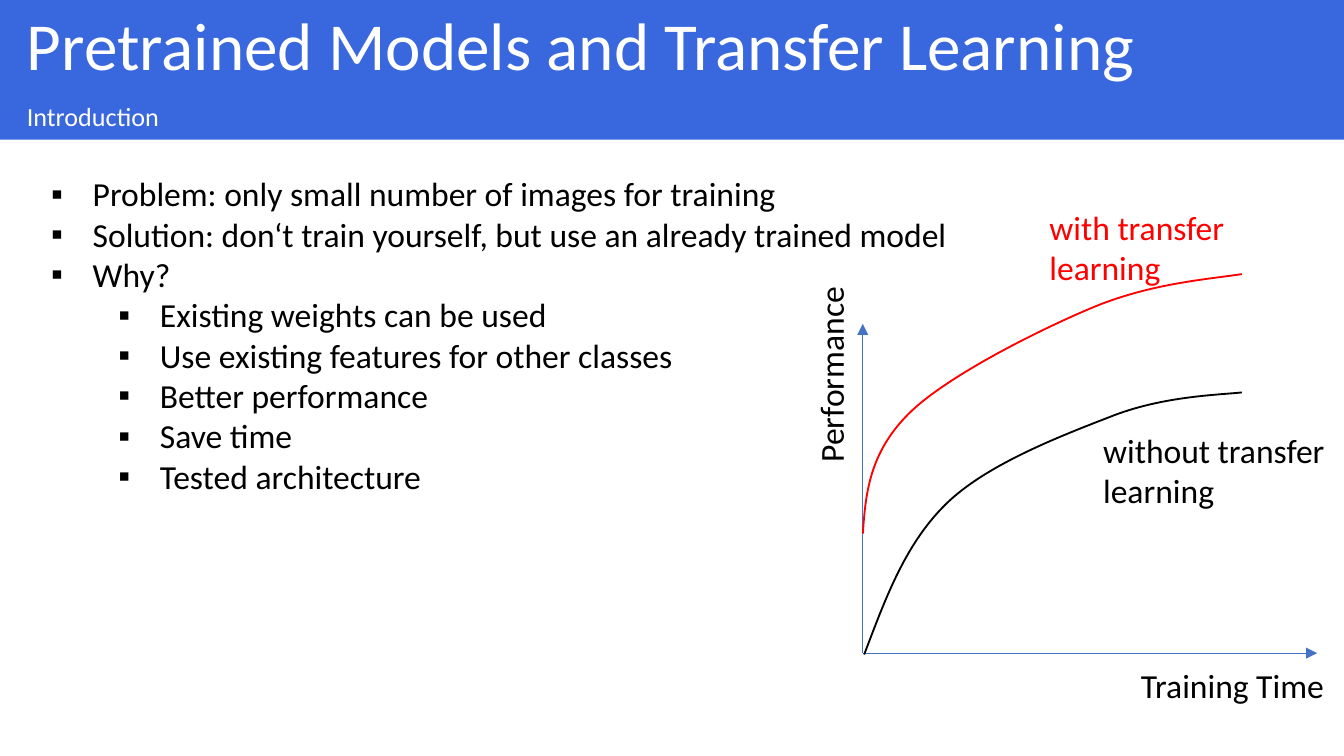
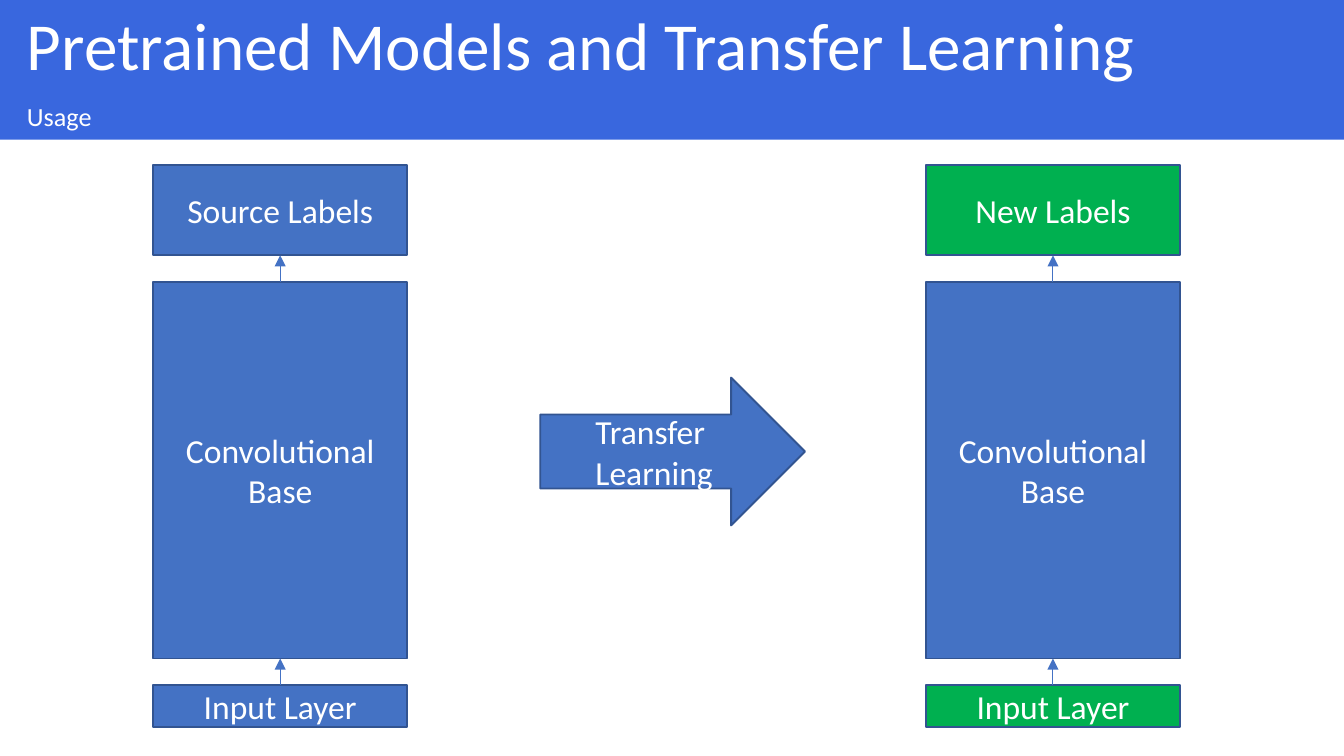
"""Builds two slides on pretrained models and transfer learning."""
from dataclasses import dataclass

from lxml import etree
from pptx import Presentation
from pptx.dml.color import RGBColor
from pptx.enum import shapes, text
from pptx.oxml import ns
from pptx.util import Inches, Pt

FONT = "Calibri"
COLORS = {
    "band": "3967DE",
    "blue": "4472C4",
    "outline": "325491",
    "green": "00B050",
    "red": "FF0000",
    "black": "000000",
    "white": "FFFFFF",
}
TITLE = "Pretrained Models and Transfer Learning"
BULLETS = [
    (0, "Problem: only small number of images for training"),
    (0, "Solution: don‘t train yourself, but use an already trained model"),
    (0, "Why?"),
    (1, "Existing weights can be used"),
    (1, "Use existing features for other classes"),
    (1, "Better performance"),
    (1, "Save time"),
    (1, "Tested architecture"),
]


@dataclass
class Band:
    top: float
    height: float
    size: float


@dataclass
class Label:
    caption: str
    left: float
    top: float
    width: float
    height: float
    color: str = "black"
    rotation: int = 0


@dataclass
class Curve:
    color: str
    points: list[tuple[float, float]]


@dataclass
class Layer:
    top: float
    height: float
    caption: str
    fill: str = "blue"


@dataclass
class Network:
    left: float
    layers: list[Layer]


TITLE_BAND = Band(0, 0.73, 36)
SUBTITLE_BAND = Band(0.72, 0.32, 14)
LABELS = [
    Label("Training Time", 8.39, 4.9, 1.58, 0.4),
    Label("Performance", 5.42, 2.58, 1.52, 0.4, rotation=270),
    Label("without transfer\nlearning", 8.11, 3.15, 1.87, 0.71),
    Label("with transfer\nlearning", 7.71, 1.49, 1.52, 0.71, "red"),
]
CURVES = [
    Curve("black", [(6.43, 4.87), (6.59, 4.45), (6.74, 4.03), (7.06, 3.73),
                    (7.37, 3.44), (7.93, 3.23), (8.29, 3.09),
                    (8.66, 2.95), (9.04, 2.94), (9.24, 2.92)]),
    Curve("red", [(6.42, 3.97), (6.44, 3.67), (6.47, 3.37), (6.76, 3.08),
                  (7.04, 2.8), (7.74, 2.45), (8.15, 2.28),
                  (8.57, 2.11), (8.97, 2.08), (9.24, 2.04)]),
]


def network(left: float, labels: str, new_fill: str) -> Network:
    """Describe a network from its input layer up to its labels."""
    return Network(left, [
        Layer(5.1, 0.31, "Input Layer", new_fill),
        Layer(2.1, 2.8, "Convolutional\nBase"),
        Layer(1.23, 0.67, labels, new_fill),
    ])


NETWORKS = [network(1.14, "Source Labels", "blue"), network(6.89, "New Labels", "green")]


def rgb(name: str) -> RGBColor:
    """Look up a named colour."""
    return RGBColor.from_string(COLORS[name])


def place(shape, left: float, top: float, width: float, height: float) -> None:
    """Move and size a shape in inches."""
    shape.left, shape.top = Inches(left), Inches(top)
    shape.width, shape.height = Inches(width), Inches(height)


def style_text(frame, size: float, color: str, align=text.PP_ALIGN.LEFT) -> None:
    """Format every paragraph and run of a text frame."""
    for paragraph in frame.paragraphs:
        paragraph.alignment = align
        for run in paragraph.runs:
            run.font.name, run.font.size = FONT, Pt(size)
            run.font.color.rgb = rgb(color)


def set_bullet(paragraph, margin: float, indent: float, char: str = "") -> None:
    """Set the indents and the bullet, or no bullet, of a paragraph."""
    props = paragraph._p.get_or_add_pPr()
    props.set("marL", str(Inches(margin)))
    props.set("indent", str(Inches(indent)))
    if char:
        etree.SubElement(props, ns.qn("a:buFont")).set("typeface", "Arial")
        etree.SubElement(props, ns.qn("a:buChar")).set("char", char)
    else:
        etree.SubElement(props, ns.qn("a:buNone"))


def add_band(holder, caption: str, band: Band) -> None:
    """Turn a placeholder into a full-width heading band."""
    place(holder, 0, band.top, 10, band.height)
    holder.fill.solid()
    holder.fill.fore_color.rgb = rgb("band")
    frame = holder.text_frame
    frame.text = caption
    frame.auto_size, frame.word_wrap = text.MSO_AUTO_SIZE.NONE, True
    frame.vertical_anchor = text.MSO_ANCHOR.MIDDLE
    frame.margin_left = Inches(0.2)
    heading = frame.paragraphs[0]
    heading.line_spacing, heading.space_before = 0.9, Pt(10)
    set_bullet(heading, 0, 0)
    style_text(frame, band.size, "white")


def new_slide(deck, layout: int, subtitle: str):
    """Add a slide with the shared heading bands."""
    slide = deck.slides.add_slide(deck.slide_layouts[layout])
    add_band(slide.shapes.title, TITLE, TITLE_BAND)
    add_band(slide.placeholders[1], subtitle, SUBTITLE_BAND)
    return slide


def add_bullets(holder) -> None:
    """Fill a body placeholder with the two-level list."""
    place(holder, 0.28, 1.24, 7.87, 2.83)
    frame = holder.text_frame
    frame.text = "\n".join(caption for _, caption in BULLETS)
    frame.auto_size = text.MSO_AUTO_SIZE.NONE
    for paragraph, (level, _) in zip(frame.paragraphs, BULLETS):
        paragraph.level = level
        paragraph.line_spacing, paragraph.space_before = 1.0, Pt(0)
        set_bullet(paragraph, 0.31 + 0.5 * level, -0.31, "▪")
    style_text(frame, 18, "black")


def add_arrow(slide, start: tuple[float, float] = (0, 0), end: tuple[float, float] = (0, 0)):
    """Draw a thin blue line with a triangle at its end."""
    arrow = slide.shapes.add_connector(
        shapes.MSO_CONNECTOR.STRAIGHT, *map(Inches, start + end))
    arrow.line.color.rgb, arrow.line.width = rgb("blue"), Pt(0.5)
    etree.SubElement(arrow.line._get_or_add_ln(), ns.qn("a:tailEnd")).set("type", "triangle")
    etree.SubElement(arrow._element.spPr, ns.qn("a:effectLst"))
    return arrow


def add_curve(slide, curve: Curve) -> None:
    """Draw an open outline whose points form cubic Bezier segments."""
    points = [(Inches(x), Inches(y)) for x, y in curve.points]
    builder = slide.shapes.build_freeform(*points[0])
    builder.add_line_segments(points[1:], close=False)
    outline = builder.convert_to_shape()
    outline.shadow.inherit = False
    outline.fill.background()
    outline.line.color.rgb, outline.line.width = rgb(curve.color), Pt(1)
    steps = list(outline._element.iter(ns.qn("a:lnTo")))
    for first in range(0, len(steps), 3):
        bezier = etree.SubElement(steps[first].getparent(), ns.qn("a:cubicBezTo"))
        for step in steps[first:first + 3]:
            bezier.append(step[0])
            step.getparent().remove(step)


def add_label(slide, label: Label) -> None:
    """Add a text box that does not wrap."""
    box = slide.shapes.add_textbox(
        *map(Inches, (label.left, label.top, label.width, label.height)))
    box.rotation = label.rotation
    frame = box.text_frame
    frame.text, frame.word_wrap = label.caption, False
    frame.auto_size = text.MSO_AUTO_SIZE.SHAPE_TO_FIT_TEXT
    style_text(frame, 18, label.color)


def add_block(slide, kind, left: float, top: float, width: float, height: float,
              caption: str, fill: str = "blue"):
    """Draw an outlined shape with centred white text."""
    block = slide.shapes.add_shape(kind, *map(Inches, (left, top, width, height)))
    block.shadow.inherit = False
    block.fill.solid()
    block.fill.fore_color.rgb = rgb(fill)
    block.line.color.rgb, block.line.width = rgb("outline"), Pt(1)
    block.text_frame.text = caption
    block.text_frame.vertical_anchor = text.MSO_ANCHOR.MIDDLE
    style_text(block.text_frame, 18, "white", text.PP_ALIGN.CENTER)
    return block


def add_network(slide, net: Network) -> None:
    """Stack the layers of a network and join them upwards."""
    blocks = [add_block(slide, shapes.MSO_SHAPE.RECTANGLE, net.left, layer.top, 1.89,
                        layer.height, layer.caption, layer.fill) for layer in net.layers]
    for lower, upper in zip(blocks, blocks[1:]):
        arrow = add_arrow(slide)
        arrow.begin_connect(lower, 0)
        arrow.end_connect(upper, 2)


def build_introduction(deck) -> None:
    """Build the slide with the reasons and the learning curves."""
    slide = new_slide(deck, 3, "Introduction")
    add_bullets(slide.placeholders[2])
    origin = (6.42, 4.86)
    for axis_end in ((9.8, 4.86), (6.42, 2.41)):
        add_arrow(slide, origin, axis_end)
    for curve in CURVES:
        add_curve(slide, curve)
    for label in LABELS:
        add_label(slide, label)


def build_usage(deck) -> None:
    """Build the slide that compares source and new network."""
    slide = new_slide(deck, 1, "Usage")
    for net in NETWORKS:
        add_network(slide, net)
    add_block(slide, shapes.MSO_SHAPE.RIGHT_ARROW, 4.02, 2.81, 1.97, 1.1,
              "Transfer \nLearning")


def main() -> None:
    """Create and save the presentation."""
    deck = Presentation()
    deck.slide_width = Inches(10)
    deck.slide_height = deck.slide_width * 9 // 16
    build_introduction(deck)
    build_usage(deck)
    deck.save("out.pptx")


if __name__ == "__main__":
    main()
